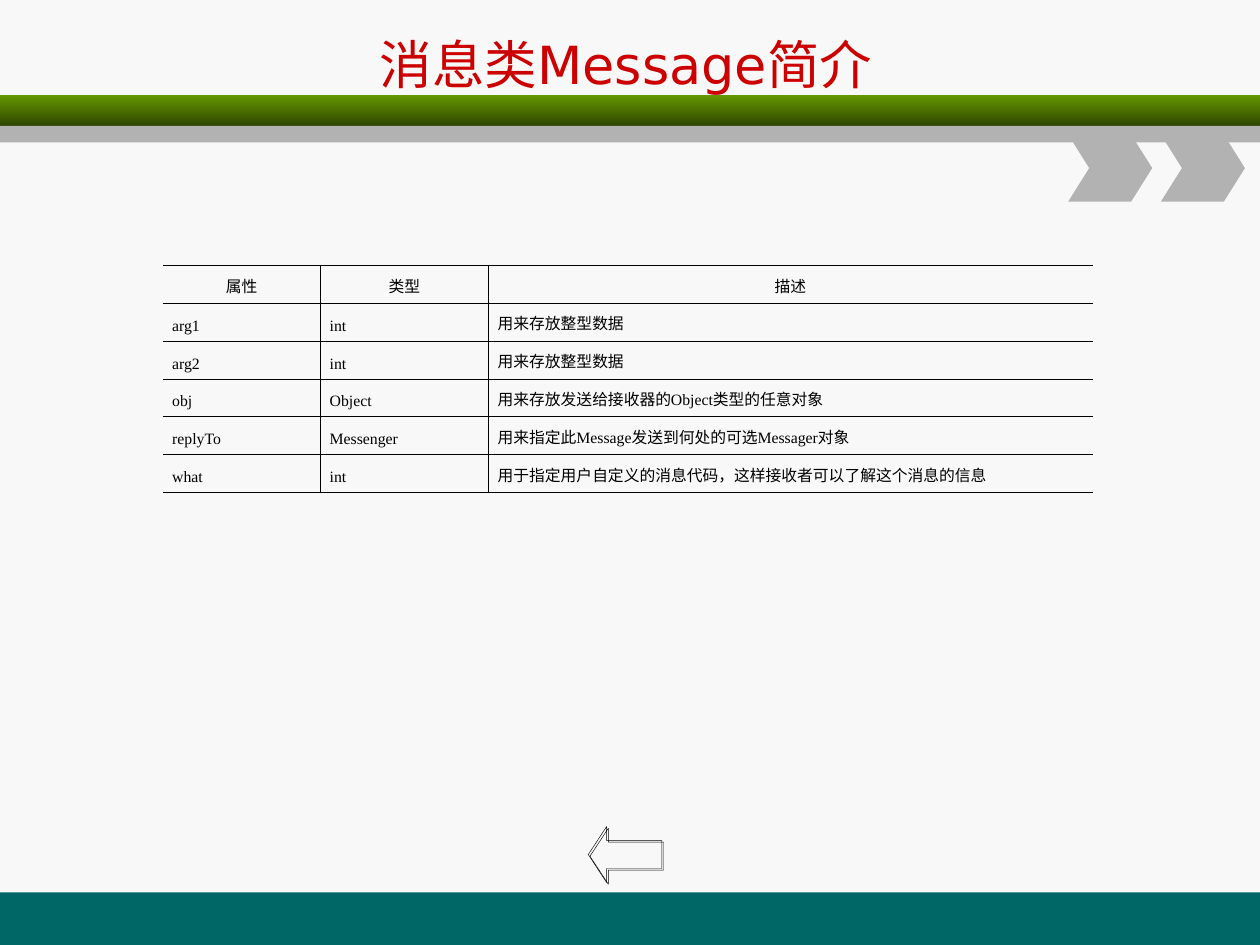
"""Build a slide that introduces the attributes of the Message class."""
from dataclasses import dataclass
from typing import Optional

import lxml.etree
import pptx
import pptx.dml.color
import pptx.enum.shapes
import pptx.enum.text
import pptx.oxml
import pptx.oxml.ns
import pptx.util

Pt = pptx.util.Pt
RGB = pptx.dml.color.RGBColor
ALIGN = pptx.enum.text.PP_ALIGN
MIDDLE = pptx.enum.text.MSO_ANCHOR.MIDDLE
SHAPE = pptx.enum.shapes.MSO_SHAPE
qn = pptx.oxml.ns.qn


@dataclass(frozen=True)
class Theme:
    """Colours, fonts and sizes of the slide."""
    background: str = "F8F8F8"
    title: str = "CC0000"
    ink: str = "000000"
    footer: str = "006666"
    grey: str = "B2B2B2"
    green: str = "669900"
    dark_green: str = "2F4700"
    title_font: str = "DejaVu Sans"
    header_font: str = "Arial"
    body_font: str = "Times New Roman"
    title_size: float = 30
    table_size: float = 9
    line_spacing: float = 14
    border: float = 0.45


@dataclass(frozen=True)
class Band:
    """A full-width stripe, graded when it has an end colour."""
    top: float
    height: float
    color: str
    end_color: Optional[str] = None


@dataclass(frozen=True)
class Attribute:
    """One row of the attribute table."""
    name: str
    kind: str
    description: str


THEME = Theme()
WIDTH, HEIGHT = 720, 540
BANDS = [
    Band(510, 30, THEME.footer),
    Band(54, 18, THEME.green, THEME.dark_green),
    Band(72, 9.4, THEME.grey),
]
CHEVRON_LEFT, CHEVRON_STEP, CHEVRON_COUNT = 610.4, 53, 2
COLUMNS = [90, 96, 345.4]
ROW_HEIGHT = 21.6
ROWS = [
    Attribute("属性", "类型", "描述"),
    Attribute("arg1", "int", "用来存放整型数据"),
    Attribute("arg2", "int", "用来存放整型数据"),
    Attribute("obj", "Object", "用来存放发送给接收器的Object类型的任意对象"),
    Attribute("replyTo", "Messenger", "用来指定此Message发送到何处的可选Messager对象"),
    Attribute("what", "int", "用于指定用户自定义的消息代码，这样接收者可以了解这个消息的信息"),
]


def rgb(color: str) -> RGB:
    """Turn a hex string into a colour."""
    return RGB.from_string(color)


def add_run(p, text: str, font: str, size: float, color: str) -> None:
    """Add one formatted run to a paragraph."""
    r = p.add_run()
    r.text = text
    r.font.name = font
    r.font.size = Pt(size)
    r.font.color.rgb = rgb(color)


def draw_band(s, band: Band) -> None:
    """Draw a stripe across the slide."""
    sp = s.shapes.add_shape(SHAPE.RECTANGLE, 0, Pt(band.top), Pt(WIDTH), Pt(band.height))
    sp.shadow.inherit = False
    sp.line.fill.background()
    if band.end_color is None:
        sp.fill.solid()
        sp.fill.fore_color.rgb = rgb(band.color)
        return
    sp.fill.gradient()
    sp.fill.gradient_angle = 270
    for stop, color in zip(sp.fill.gradient_stops, (band.color, band.end_color)):
        stop.color.rgb = rgb(color)


def draw_chevron(s, left: float, top: float = 77, flat: float = 36,
                 point: float = 12, height: float = 38.2) -> None:
    """Draw a grey chevron that points right."""
    middle, bottom, right = top + height / 2, top + height, left + flat
    outline = [(right, top), (right + point, middle), (right, bottom),
               (left, bottom), (left + point, middle)]
    builder = s.shapes.build_freeform(Pt(left), Pt(top))
    builder.add_line_segments([(Pt(x), Pt(y)) for x, y in outline])
    sp = builder.convert_to_shape()
    sp.shadow.inherit = False
    sp.fill.solid()
    sp.fill.fore_color.rgb = rgb(THEME.grey)
    sp.line.fill.background()


def draw_back_arrow(s) -> None:
    """Draw the outlined arrow with its offset shadow."""
    sp = s.shapes.add_shape(SHAPE.LEFT_ARROW, Pt(336.2), Pt(472.3), Pt(42), Pt(32))
    sp.adjustments[0], sp.adjustments[1] = 0.5, 0.328
    sp.fill.background()
    sp.line.color.rgb = rgb(THEME.ink)
    sp.line.width = Pt(0.25)
    sp.shadow.inherit = False
    effects = sp.element.spPr.find(qn("a:effectLst"))
    shadow = lxml.etree.SubElement(effects, qn("a:outerShdw"), blurRad="0",
                                   dist=str(Pt(1.4)), dir="2700000", rotWithShape="0")
    lxml.etree.SubElement(shadow, qn("a:srgbClr"), val=THEME.ink)


def set_border(cell, side: str, visible: bool) -> None:
    """Set one side of a cell to a thin line or to nothing."""
    ln = lxml.etree.SubElement(cell._tc.get_or_add_tcPr(), qn(f"a:ln{side}"),
                               w=str(Pt(THEME.border)))
    if visible:
        fill = lxml.etree.SubElement(ln, qn("a:solidFill"))
        lxml.etree.SubElement(fill, qn("a:srgbClr"), val=THEME.ink)
    else:
        lxml.etree.SubElement(ln, qn("a:noFill"))


def fill_cell(cell, text: str, is_header: bool, is_first: bool, is_last: bool) -> None:
    """Write and format one table cell."""
    for side, visible in zip("LRTB", (not is_first, not is_last, True, True)):
        set_border(cell, side, visible)
    cell.fill.background()
    cell.vertical_anchor = MIDDLE
    cell.margin_left = cell.margin_right = Pt(5.4)
    cell.margin_top = cell.margin_bottom = Pt(3.6)
    p = cell.text_frame.paragraphs[0]
    p.alignment = ALIGN.CENTER if is_header else ALIGN.JUSTIFY
    p.line_spacing = Pt(THEME.line_spacing)
    font = THEME.header_font if is_header else THEME.body_font
    add_run(p, text, font, THEME.table_size, THEME.ink)


def draw_table(s) -> None:
    """Draw the attribute table."""
    table = s.shapes.add_table(len(ROWS), len(COLUMNS), Pt(93), Pt(151.8),
                               Pt(sum(COLUMNS)), Pt(ROW_HEIGHT * len(ROWS))).table
    table.first_row = table.horz_banding = False
    for column, width in zip(table.columns, COLUMNS):
        column.width = Pt(width)
    for i, row in enumerate(ROWS):
        table.rows[i].height = Pt(ROW_HEIGHT)
        for j, text in enumerate((row.name, row.kind, row.description)):
            fill_cell(table.cell(i, j), text, i == 0, j == 0, j == len(COLUMNS) - 1)


def place_title(s) -> None:
    """Format the title and bring it in front of the bands."""
    sp = s.shapes.title
    sp.left, sp.top, sp.width, sp.height = Pt(181.4), Pt(12.2), Pt(352.8), Pt(48.2)
    tf = sp.text_frame
    tf.word_wrap = True
    tf.auto_size = pptx.enum.text.MSO_AUTO_SIZE.NONE
    tf.vertical_anchor = MIDDLE
    p = tf.paragraphs[0]
    p.alignment = ALIGN.CENTER
    add_run(p, "消息类Message简介", THEME.title_font, THEME.title_size, THEME.title)
    sp.element.getparent().append(sp.element)


def main() -> None:
    """Build and save the slide."""
    prs = pptx.Presentation()
    prs.slide_width, prs.slide_height = Pt(WIDTH), Pt(HEIGHT)
    s = prs.slides.add_slide(prs.slide_layouts[5])
    s.background.fill.solid()
    s.background.fill.fore_color.rgb = rgb(THEME.background)
    for band in BANDS:
        draw_band(s, band)
    for i in range(CHEVRON_COUNT):
        draw_chevron(s, CHEVRON_LEFT + i * CHEVRON_STEP)
    place_title(s)
    draw_back_arrow(s)
    draw_table(s)
    prs.save("out.pptx")


if __name__ == "__main__":
    main()
